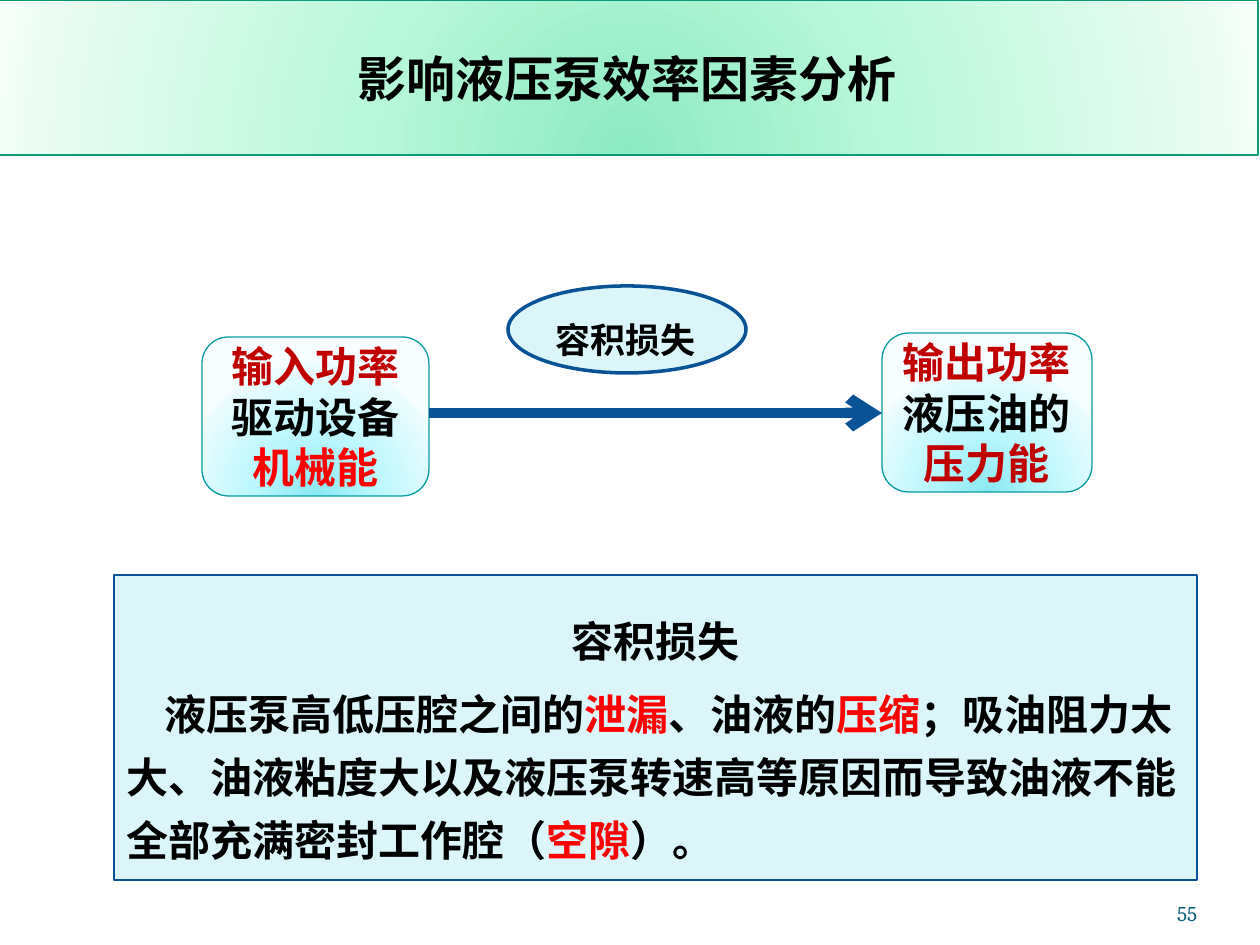
from dataclasses import dataclass
from typing import Optional

import pptx
import pptx.dml.color
import pptx.enum.shapes
import pptx.enum.text
import pptx.oxml
import pptx.oxml.ns
import pptx.util
from lxml import etree

EMU_PER_PX = 914400 / 126
SHAPE = pptx.enum.shapes.MSO_SHAPE
ALIGN = pptx.enum.text.PP_ALIGN
ANCHOR = pptx.enum.text.MSO_ANCHOR


@dataclass(frozen=True)
class Theme:
    black: str = "000000"
    dark_red: str = "C00000"
    red: str = "FF0000"
    blue: str = "095295"
    pale_blue: str = "DBF5F9"
    teal: str = "069CA3"
    green: str = "0A9B74"
    page_number: str = "045D75"
    green_glow: tuple = ((0, "8DEAC2"), (43, "BAF8DB"), (93, "EAFCF3"), (100, "F7FFFB"))
    teal_glow: tuple = ((0, "8BE9F1"), (43, "B9F7FD"), (93, "EAFCFE"), (100, "F8FEFF"))
    cjk_font: str = "Noto Sans CJK SC"
    number_font: str = "Cambria"
    title_size: int = 28
    body_size: int = 24
    label_size: int = 20
    number_size: int = 12


THEME = Theme()


@dataclass(frozen=True)
class Box:
    left: int
    top: int
    width: int
    height: int


@dataclass(frozen=True)
class Run:
    text: str
    color: str = THEME.black


@dataclass(frozen=True)
class Paragraph:
    runs: tuple[Run, ...]
    align: ALIGN = ALIGN.CENTER
    line_spacing: float = 1.0
    space_before: int = 0
    indent: int = 0


@dataclass(frozen=True)
class Node:
    kind: SHAPE
    box: Box
    paragraphs: tuple[Paragraph, ...]
    line_color: str
    size: int = THEME.body_size
    line_width: float = 0.75
    wrap: bool = True
    glow: Optional[tuple] = None


def px(value: int) -> pptx.util.Emu:
    return pptx.util.Emu(round(value * EMU_PER_PX))


def rgb(value: str) -> pptx.dml.color.RGBColor:
    return pptx.dml.color.RGBColor.from_string(value)


def place(shape, box: Box) -> None:
    shape.left, shape.top = px(box.left), px(box.top)
    shape.width, shape.height = px(box.width), px(box.height)


def fill_glow(shape, stops: tuple) -> None:
    """Fill with a round gradient centred below the shape."""
    shape.fill.gradient()
    gradient = shape._element.spPr.find(pptx.oxml.ns.qn("a:gradFill"))
    stop_xml = "".join(
        f'<a:gs pos="{position * 1000}"><a:srgbClr val="{color}"/></a:gs>'
        for position, color in stops)
    gradient.getparent().replace(gradient, pptx.oxml.parse_xml(
        f'<a:gradFill {pptx.oxml.ns.nsdecls("a")} rotWithShape="1"><a:gsLst>{stop_xml}</a:gsLst>'
        '<a:path path="circle"><a:fillToRect l="50000" t="130000" r="50000" b="-30000"/>'
        '</a:path></a:gradFill>'))


def write(shape, paragraphs: tuple[Paragraph, ...], size: int, font: str = THEME.cjk_font,
          bold: bool = True, anchor: ANCHOR = ANCHOR.MIDDLE, wrap: bool = True) -> None:
    frame = shape.text_frame
    frame.auto_size = pptx.enum.text.MSO_AUTO_SIZE.NONE
    frame.word_wrap = wrap
    frame.vertical_anchor = anchor
    for index, content in enumerate(paragraphs):
        paragraph = frame.add_paragraph() if index else frame.paragraphs[0]
        paragraph.alignment = content.align
        paragraph.line_spacing = content.line_spacing
        paragraph.space_before = pptx.util.Pt(content.space_before)
        if content.indent:
            paragraph._p.get_or_add_pPr().set("indent", str(px(content.indent)))
        for part in content.runs:
            run = paragraph.add_run()
            run.text = part.text
            run.font.size = pptx.util.Pt(size)
            run.font.bold = bold
            run.font.color.rgb = rgb(part.color)
            run.font.name = font
            etree.SubElement(run.font._element, pptx.oxml.ns.qn("a:ea"), typeface=font)


def set_line(shape, color: str, width: float) -> None:
    shape.line.color.rgb = rgb(color)
    shape.line.width = pptx.util.Pt(width)


def draw_title(slide, text: str) -> None:
    title = slide.shapes.title
    place(title, Box(-4, 0, 1262, 155))
    fill_glow(title, THEME.green_glow)
    set_line(title, THEME.green, 0.75)
    write(title, (Paragraph((Run(text),)),), THEME.title_size)


def draw_node(slide, node: Node) -> None:
    shape = slide.shapes.add_shape(node.kind, 0, 0, 0, 0)
    place(shape, node.box)
    shape.shadow.inherit = False
    if node.glow:
        fill_glow(shape, node.glow)
    else:
        shape.fill.solid()
        shape.fill.fore_color.rgb = rgb(THEME.pale_blue)
    set_line(shape, node.line_color, node.line_width)
    write(shape, node.paragraphs, node.size, wrap=node.wrap)


def draw_arrow(slide, left: int, right: int, y: int) -> None:
    arrow = slide.shapes.add_connector(
        pptx.enum.shapes.MSO_CONNECTOR.STRAIGHT, px(left), px(y), px(right), px(y))
    set_line(arrow, THEME.blue, 6)
    etree.SubElement(arrow.line._get_or_add_ln(), pptx.oxml.ns.qn("a:tailEnd"), type="arrow")
    etree.SubElement(arrow._element.spPr, pptx.oxml.ns.qn("a:effectLst"))


def draw_page_number(slide, number: str) -> None:
    text_box = slide.shapes.add_textbox(0, 0, 0, 0)
    place(text_box, Box(1092, 876, 105, 50))
    frame = text_box.text_frame
    frame.margin_left = frame.margin_right = frame.margin_top = frame.margin_bottom = 0
    write(text_box, (Paragraph((Run(number, THEME.page_number),), ALIGN.RIGHT),),
          THEME.number_size, THEME.number_font, bold=False, anchor=ANCHOR.BOTTOM)


def power_node(box: Box, *lines: Run) -> Node:
    return Node(SHAPE.ROUNDED_RECTANGLE, box, tuple(Paragraph((line,)) for line in lines),
                THEME.teal, wrap=False, glow=THEME.teal_glow)


EXPLANATION = (
    Run("液压泵高低压腔之间的"), Run("泄漏", THEME.red), Run("、油液的"), Run("压缩", THEME.red),
    Run("；吸油阻力太大、油液粘度大以及液压泵转速高等原因而导致油液不能全部充满密封工作腔（"),
    Run("空隙", THEME.red), Run("）。"))

NODES = (
    power_node(Box(202, 337, 227, 159), Run("输入功率", THEME.dark_red),
               Run("驱动设备"), Run("机械能", THEME.red)),
    power_node(Box(882, 333, 210, 159), Run("输出功率", THEME.dark_red),
               Run("液压油的"), Run("压力能", THEME.dark_red)),
    Node(SHAPE.RECTANGLE, Box(114, 575, 1083, 305),
         (Paragraph((Run("容积损失"),), line_spacing=1.5),
          Paragraph(EXPLANATION, ALIGN.LEFT, 1.25, space_before=6, indent=38)),
         THEME.blue),
    Node(SHAPE.OVAL, Box(508, 286, 238, 87),
         (Paragraph((Run("容积损失"),), ALIGN.LEFT, 1.5),),
         THEME.blue, THEME.label_size, line_width=2),
)


def main() -> None:
    presentation = pptx.Presentation()
    presentation.slide_width, presentation.slide_height = px(1260), px(945)
    slide = presentation.slides.add_slide(presentation.slide_layouts[5])
    draw_title(slide, "影响液压泵效率因素分析")
    for node in NODES:
        draw_node(slide, node)
    draw_arrow(slide, 429, 882, 413)
    draw_page_number(slide, "55")
    presentation.save("out.pptx")


if __name__ == "__main__":
    main()
